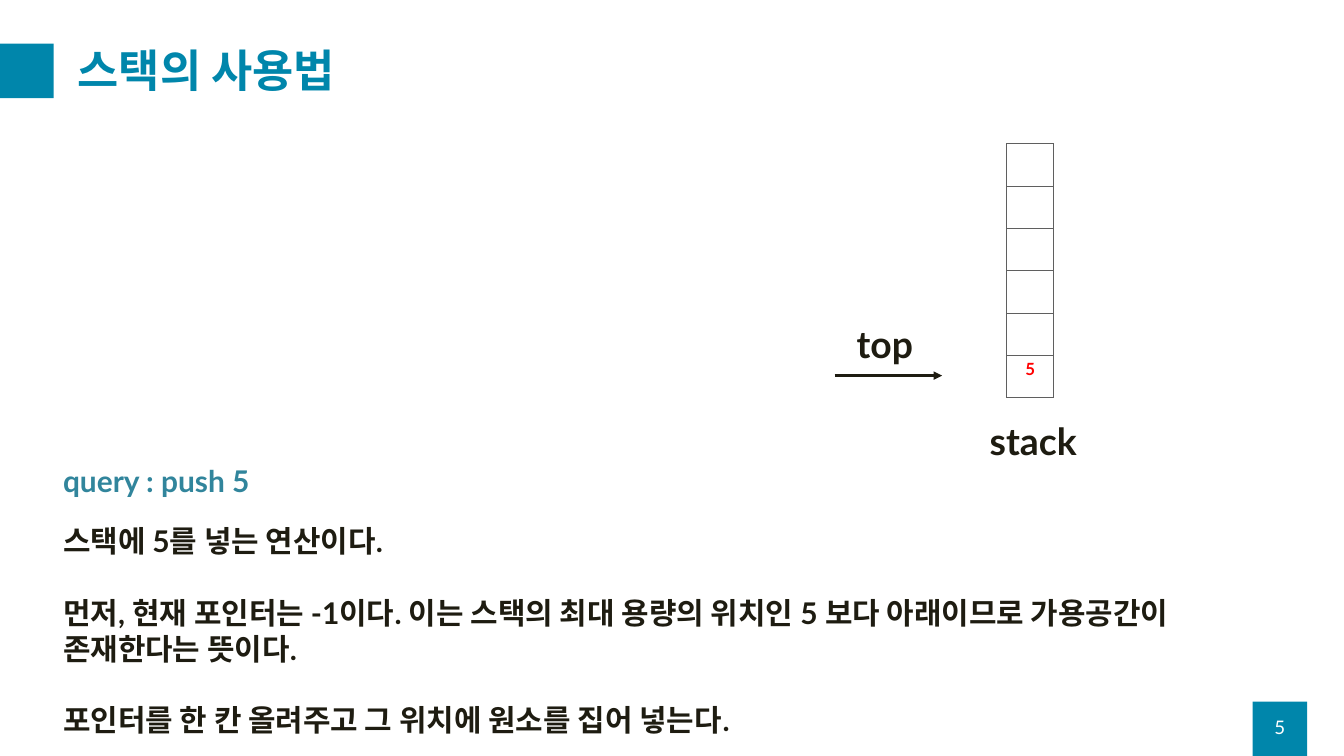
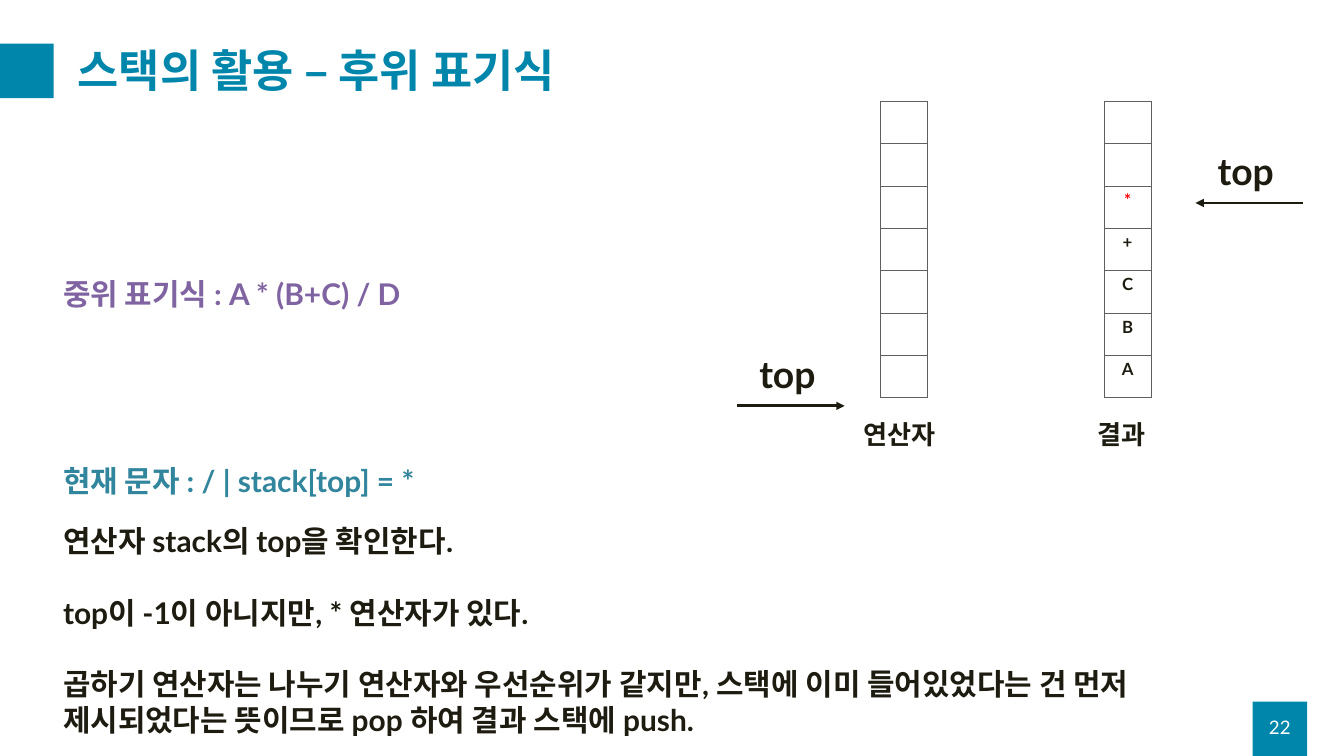
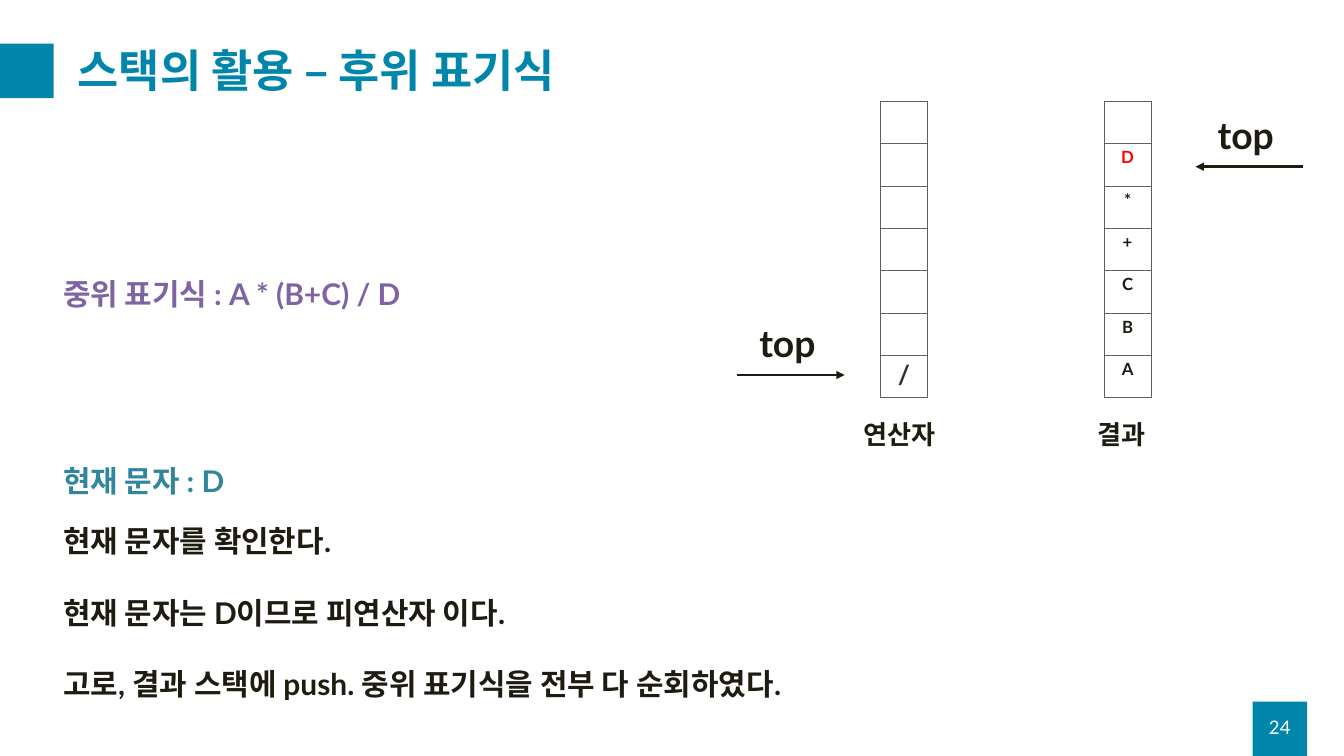
from lxml.etree import SubElement
from pptx import Presentation
from pptx.dml.color import RGBColor
from pptx.enum.shapes import MSO_CONNECTOR, MSO_SHAPE
from pptx.enum.text import MSO_ANCHOR, MSO_AUTO_SIZE, PP_ALIGN
from pptx.oxml.ns import qn
from pptx.util import Inches, Pt

COLUMNS, ROWS = 20, 11.25  # the slide grid, one inch per unit
FONT = "Lato"
COLORS = {
    "accent": "0086AB",
    "ink": "1E1C11",
    "query": "31859C",
    "expression": "8064A2",
    "new": "FF0000",
    "operator": "303030",
    "border": "5F5F5F",
    "white": "FFFFFF",
}
BAND_SIZE = 0.81
NUMBER_LEFT = 18.64
TEXT_LEFT = 0.84
CELL_WIDTH, CELL_HEIGHT = 0.7, 0.63
STACK_BOTTOM = 5.92
LABEL_TOP = 6.18
ARROW_LENGTH = 1.6
EXPRESSION = "중위 표기식 : A * (B+C) / D"
POSTFIX_TITLE = "스택의 활용 – 후위 표기식"


def grid(*lengths):
    return [Inches(length) for length in lengths]


def rgb(color):
    return RGBColor.from_string(COLORS[color])


def write(frame, *paragraphs, size=32, color="ink", bold=True, align=None,
          gap=0, line_spacing=None):
    """Fill a text frame; gap is the space in points between paragraphs."""
    for index, words in enumerate(paragraphs):
        paragraph = frame.add_paragraph() if index else frame.paragraphs[0]
        paragraph.text = words
        paragraph.alignment = align
        paragraph.line_spacing = line_spacing
        if index and gap:
            paragraph.space_before = Pt(gap)
        font = paragraph.runs[0].font
        font.name, font.size, font.bold = FONT, Pt(size), bold
        font.color.rgb = rgb(color)


def add_text(slide, box, *paragraphs, middle=False, **text_format):
    frame = slide.shapes.add_textbox(*grid(*box)).text_frame
    frame.word_wrap = True
    if middle:
        frame.vertical_anchor = MSO_ANCHOR.MIDDLE
    else:
        frame.auto_size = MSO_AUTO_SIZE.SHAPE_TO_FIT_TEXT
    write(frame, *paragraphs, **text_format)


def add_band(slide, left, top):
    band = slide.shapes.add_shape(
        MSO_SHAPE.RECTANGLE, *grid(left, top, BAND_SIZE, BAND_SIZE))
    band.shadow.inherit = False
    band.fill.solid()
    band.fill.fore_color.rgb = rgb("accent")
    band.line.fill.background()


def add_page(deck, title, number):
    slide = deck.slides.add_slide(deck.slide_layouts[6])
    add_band(slide, NUMBER_LEFT, ROWS - BAND_SIZE)
    add_band(slide, -0.01, 0.65)
    add_text(slide, (1.06, 0.5, 18.25, 1.18), title, middle=True,
             size=48, color="accent", line_spacing=0.9)
    add_text(slide, (NUMBER_LEFT, 10.52, BAND_SIZE, 0.6), str(number),
             middle=True, size=20, color="white", bold=False,
             align=PP_ALIGN.CENTER)
    return slide


def outline_cell(cell):
    properties = cell._tc.get_or_add_tcPr()
    for side in ("a:lnL", "a:lnR", "a:lnT", "a:lnB"):
        border = SubElement(properties, qn(side), w=str(Pt(1)))
        fill = SubElement(border, qn("a:solidFill"))
        SubElement(fill, qn("a:srgbClr"), val=COLORS["border"])
    cell.fill.background()


def add_stack(slide, left, capacity, items, label, label_shift=-0.35,
              label_size=28, new_color="new", new_size=18):
    """Draw items from the bottom up; the last one is the one just pushed."""
    height = capacity * CELL_HEIGHT
    table = slide.shapes.add_table(capacity, 1, *grid(
        left, STACK_BOTTOM - height, CELL_WIDTH, height)).table
    table.first_row = table.horz_banding = False
    for level in range(capacity):
        cell = table.cell(capacity - 1 - level, 0)
        outline_cell(cell)
        if level < len(items):
            newest = level == len(items) - 1
            write(cell.text_frame, items[level], align=PP_ALIGN.CENTER,
                  size=new_size if newest else 18,
                  color=new_color if newest else "ink")
    add_text(slide, (left + label_shift, LABEL_TOP, 2.15, label_size / 50),
             label, size=label_size)


def add_top_pointer(slide, left, level, points_left=False):
    """Draw the arrow of the top index at the height level, with its label."""
    start, tip = left, left + ARROW_LENGTH
    if points_left:
        start, tip = tip, start
    arrow = slide.shapes.add_connector(
        MSO_CONNECTOR.STRAIGHT, *grid(start, level, tip, level))
    arrow.line.color.rgb = rgb("ink")
    arrow.line.width = Pt(3)
    SubElement(arrow.line._get_or_add_ln(), qn("a:tailEnd"), type="triangle")
    SubElement(arrow._element.spPr, qn("a:effectLst"))
    add_text(slide, (left + 0.23, level - 0.86, 1.71, 0.77), "top", size=40)


def add_explanation(slide, query, *steps, width=17.8):
    add_text(slide, (TEXT_LEFT, 6.83, 5.8, 0.64), query, color="query")
    add_text(slide, (TEXT_LEFT, 7.73, width, 3.33), *steps, gap=38.4)


def add_postfix_page(deck, number, operators, results, operator_top,
                     result_top):
    slide = add_page(deck, POSTFIX_TITLE, number)
    add_text(slide, (TEXT_LEFT, 4.06, 5.8, 0.64), EXPRESSION,
             color="expression")
    add_stack(slide, 13.1, 7, operators, "연산자",
              new_color="operator", new_size=28)
    add_stack(slide, 16.43, 7, results, "결과", label_shift=-0.19)
    add_top_pointer(slide, 10.97, operator_top)
    add_top_pointer(slide, 17.79, result_top, points_left=True)
    return slide


def main():
    deck = Presentation()
    deck.slide_width, deck.slide_height = grid(COLUMNS, ROWS)

    push = add_page(deck, "스택의 사용법", 5)
    add_stack(push, 14.98, 6, "5", "stack", label_size=40)
    add_top_pointer(push, 12.42, 5.59)
    add_explanation(
        push, "query : push 5",
        "스택에 5를 넣는 연산이다.",
        "먼저, 현재 포인터는 -1이다. 이는 스택의 최대 용량의 위치인 5 보다 "
        "아래이므로 가용공간이 존재한다는 뜻이다.",
        "포인터를 한 칸 올려주고 그 위치에 원소를 집어 넣는다.",
        width=17.32)

    pop_operator = add_postfix_page(deck, 22, "", "ABC+*", 6.04, 3.02)
    add_explanation(
        pop_operator, "현재 문자 : / | stack[top] = *",
        "연산자 stack의 top을 확인한다.",
        "top이 -1이 아니지만, * 연산자가 있다.",
        "곱하기 연산자는 나누기 연산자와 우선순위가 같지만, 스택에 이미 "
        "들어있었다는 건 먼저 제시되었다는 뜻이므로 pop 하여 결과 스택에 push.")

    push_operand = add_postfix_page(deck, 24, "/", "ABC+*D", 5.58, 2.48)
    add_explanation(
        push_operand, "현재 문자 : D",
        "현재 문자를 확인한다.",
        "현재 문자는 D이므로 피연산자 이다.",
        "고로, 결과 스택에 push. 중위 표기식을 전부 다 순회하였다.")

    deck.save("out.pptx")


if __name__ == "__main__":
    main()
